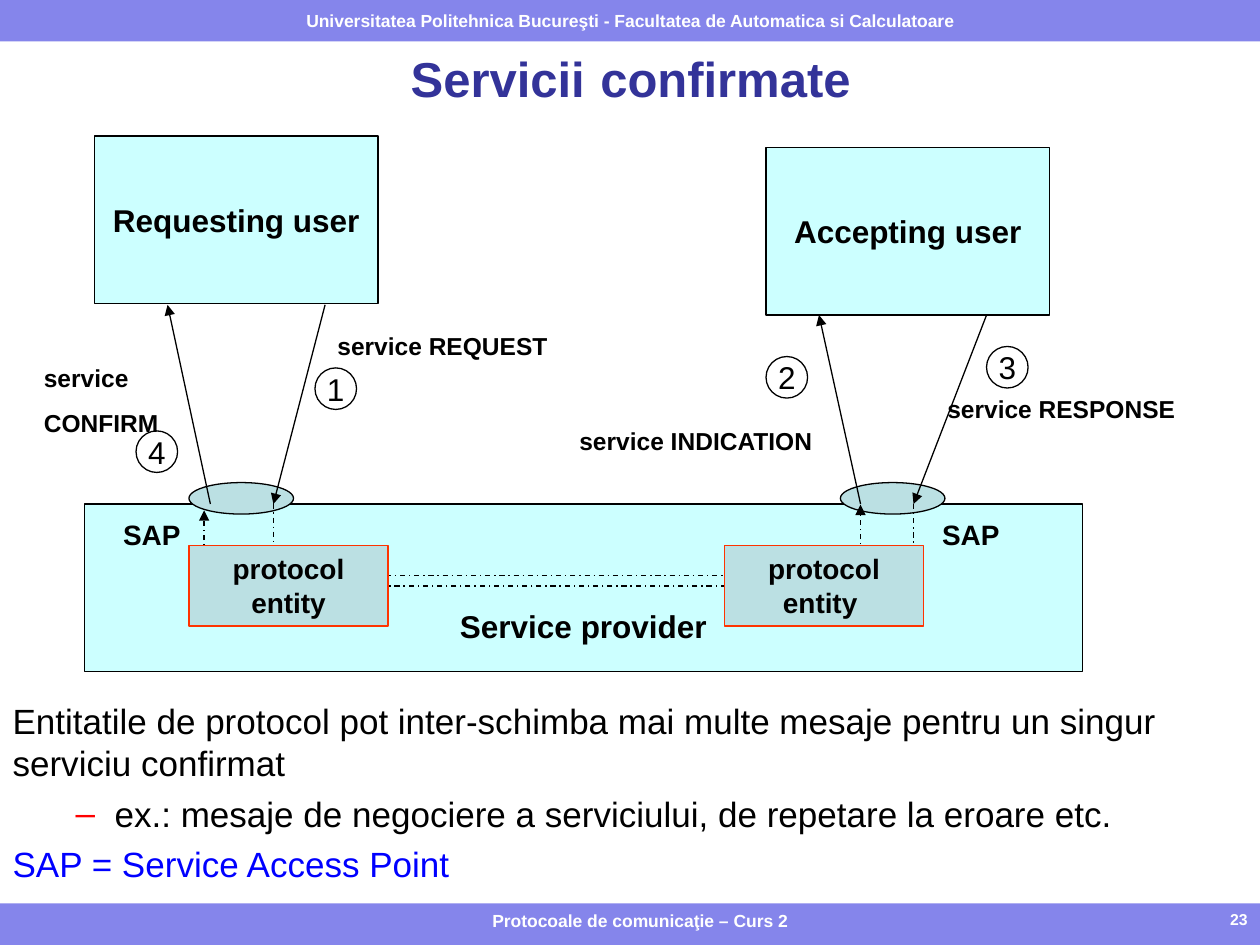
from lxml import etree
from pptx import Presentation
from pptx.dml.color import RGBColor
from pptx.enum.dml import MSO_LINE
from pptx.enum.shapes import MSO_CONNECTOR, MSO_SHAPE
from pptx.enum.text import MSO_ANCHOR, MSO_AUTO_SIZE, PP_ALIGN
from pptx.oxml.ns import qn
from pptx.util import Inches, Pt

RECT, OVAL = MSO_SHAPE.RECTANGLE, MSO_SHAPE.OVAL
STRAIGHT, ELBOW = MSO_CONNECTOR.STRAIGHT, MSO_CONNECTOR.ELBOW
LEFT, CENTER, RIGHT = PP_ALIGN.LEFT, PP_ALIGN.CENTER, PP_ALIGN.RIGHT
TOP, MIDDLE, BOTTOM = MSO_ANCHOR.TOP, MSO_ANCHOR.MIDDLE, MSO_ANCHOR.BOTTOM
DASH_DOT = MSO_LINE.DASH_DOT
NO_AUTOFIT = MSO_AUTO_SIZE.NONE

BAR, CYAN, TEAL = "8585EB", "CCFFFF", "BBE0E3"
BLACK, WHITE, NAVY, ORANGE = "000000", "FFFFFF", "333399", "FF3300"
RED, BLUE = "FF0000", "0000FF"
STROKE = 0.74


def rgb(value):
    """Turn a hex string into a colour."""
    return RGBColor.from_string(value)


def style(run, size, color=BLACK, bold=False):
    """Format one run."""
    for name, value in {"name": "Arial", "size": Pt(size), "bold": bold}.items():
        setattr(run.font, name, value)
    run.font.color.rgb = rgb(color)


def write(shape, text, size, color=BLACK, bold=True, align=CENTER,
          anchor=MIDDLE, wrap=False, before=0):
    """Fill a shape with text, one paragraph for each line."""
    frame = shape.text_frame
    frame.text = text
    frame.word_wrap = wrap
    frame.vertical_anchor = anchor
    for paragraph in frame.paragraphs:
        paragraph.alignment = align
        paragraph.space_before = Pt(before)
        style(paragraph.runs[0], size, color, bold)


def add_form(slide, kind, box, fill=None, line=BLACK):
    """Add a preset shape without shadow."""
    form = slide.shapes.add_shape(kind, *map(Inches, box))
    form.shadow.inherit = False
    if fill:
        form.fill.solid()
        form.fill.fore_color.rgb = rgb(fill)
    else:
        form.fill.background()
    if line:
        form.line.color.rgb = rgb(line)
        form.line.width = Pt(STROKE)
    else:
        form.line.fill.background()
    return form


def add_label(slide, box, text, size, **options):
    """Add a wrapped text box."""
    label = slide.shapes.add_textbox(*map(Inches, box))
    write(label, text, size, anchor=TOP, wrap=True, **options)


def add_arrow(slide, start, end, kind=STRAIGHT):
    """Add a thin black connector with a triangle at its end."""
    arrow = slide.shapes.add_connector(kind, *map(Inches, (*start, *end)))
    arrow.line.color.rgb = rgb(BLACK)
    arrow.line.width = Pt(STROKE)
    etree.SubElement(arrow.line._get_or_add_ln(), qn("a:tailEnd"), type="triangle")
    etree.SubElement(arrow._element.spPr, qn("a:effectLst"))
    return arrow


def add_exchange(slide, start, end, depth):
    """Add a dashed arrow that dips by depth between two access points."""
    (x1, y1), (x2, y2) = start, end
    span, rise = abs(x2 - x1), max(abs(y2 - y1), 0.01)
    left, top = (x1 + x2 - rise) / 2, (y1 + y2 - span) / 2
    arrow = add_arrow(slide, (left, top), (left + rise, top + span), ELBOW)
    arrow.line.dash_style = DASH_DOT
    properties = arrow._element.spPr
    xfrm = properties.find(qn("a:xfrm"))
    if x2 > x1:
        xfrm.set("rot", str(270 * 60000))
        xfrm.set("flipH", "1")
    else:
        xfrm.set("rot", str(90 * 60000))
    guides = properties.find(qn("a:prstGeom")).get_or_add_avLst()
    etree.SubElement(guides, qn("a:gd"), name="adj1",
                     fmla=f"val {round(depth / rise * 100000)}")


def add_bars(slide, width, height, bar=0.33):
    """Draw the header and footer bars with their texts."""
    foot = height - bar
    add_form(slide, RECT, (0, foot, width, bar), BAR, None)
    header = add_form(slide, RECT, (0, 0, width, bar), BAR, None)
    write(header, "Universitatea Politehnica Bucureşti - Facultatea de "
          "Automatica si Calculatoare", 10, WHITE)
    add_label(slide, (2.58, foot, 5, bar), "Protocoale de comunicaţie – Curs 2",
              10, color=WHITE)
    add_label(slide, (width - 2.33, foot, 2.33, bar), "23", 9, color=WHITE, align=RIGHT)


def place(holder, box, anchor):
    """Move a placeholder and fix its text frame."""
    for name, value in zip(("left", "top", "width", "height"), box):
        setattr(holder, name, Inches(value))
    frame = holder.text_frame
    frame.auto_size, frame.vertical_anchor, frame.word_wrap = NO_AUTOFIT, anchor, True
    return frame


def fill_title(slide, box):
    """Write the title."""
    paragraph = place(slide.shapes.title, box, MIDDLE).paragraphs[0]
    paragraph.alignment = CENTER
    for text, size in (("Servicii", 28), (" ", 32), ("confirmate", 28)):
        run = paragraph.add_run()
        run.text = text
        style(run, size, NAVY, True)


def fill_body(slide, box):
    """Write the remarks below the diagram."""
    frame = place(slide.placeholders[1], box, TOP)
    remarks = (
        ("Entitatile de protocol pot inter-schimba mai multe mesaje pentru un "
         "singur serviciu confirmat", 0, BLACK),
        ("ex.: mesaje de negociere a serviciului, de repetare la eroare etc.", 1, BLACK),
        ("SAP = Service Access Point", 0, BLUE))
    frame.text = "\n".join(text for text, _, _ in remarks)
    for paragraph, (_, level, color) in zip(frame.paragraphs, remarks):
        paragraph.level = level
        paragraph.alignment = LEFT
        paragraph.space_before = Pt(5)
        style(paragraph.runs[0], 20, color)
        layout = paragraph._p.get_or_add_pPr()
        layout.set("marL", str(Inches(0.81 * level)))
        layout.set("indent", str(Inches(-0.31 * level)))
        if level:
            tint = etree.SubElement(layout, qn("a:buClr"))
            etree.SubElement(tint, qn("a:srgbClr"), val=RED)
            etree.SubElement(layout, qn("a:buChar"), char="–")
        else:
            etree.SubElement(layout, qn("a:buNone"))


def add_user(slide, box, text):
    """Draw one service user."""
    write(add_form(slide, RECT, box, CYAN), text, 18)


def add_provider(slide, box):
    """Draw the provider with its access points and protocol entities."""
    left, top, width, height = box
    provider = add_form(slide, RECT, box, CYAN)
    write(provider, "Service provider", 18, anchor=BOTTOM)
    provider.text_frame.margin_bottom = Inches(0.21)
    for x in (0.83, 6):
        add_form(slide, OVAL, (left + x, top - 0.17, 0.83, 0.25), TEAL)
    add_exchange(slide, (left + 1.5, top), (left + 6.16, top), 0.58)
    add_exchange(slide, (left + 6.58, top), (left + 0.95, top + 0.05), 0.65)
    for x in (0.16, 6.66):
        sap = add_form(slide, OVAL, (left + x, top + 0.08, 0.75, 0.33), line=None)
        write(sap, "SAP", 16)
    for x, text in ((0.83, "protocol entity"), (5.08, "protocol entity ")):
        entity = add_form(slide, RECT, (left + x, top + 0.33, 1.58, 0.64), TEAL, ORANGE)
        write(entity, text, 16, anchor=TOP, wrap=True)


def add_primitive(slide, number, start, end, circle, label, text):
    """Draw one numbered service primitive: arrow, circle and label."""
    add_arrow(slide, start, end)
    write(add_form(slide, OVAL, (*circle, 0.33, 0.33)), str(number), 18, bold=False)
    add_label(slide, label, text, 14, align=LEFT, before=8.8)


def main():
    """Build the slide."""
    deck = Presentation()
    deck.slide_width, deck.slide_height = Inches(10), Inches(7.5)
    slide = deck.slides.add_slide(deck.slide_layouts[1])
    add_bars(slide, 10, 7.5)
    fill_title(slide, (0.42, 0.33, 9.17, 0.53))
    fill_body(slide, (0, 5.5, 10, 1.58))
    add_user(slide, (0.75, 1.08, 2.25, 1.33), "Requesting user")
    add_user(slide, (6.08, 1.17, 2.25, 1.33), "Accepting user")
    add_provider(slide, (0.67, 4, 7.92, 1.33))
    primitives = (
        ((2.58, 2.42), (2.17, 4), (2.5, 2.92), (2.58, 2.58, 2, 0.34), "service REQUEST"),
        ((6.83, 4), (6.5, 2.5), (6.08, 2.83), (4.5, 3.33, 2.17, 0.34), "service INDICATION"),
        ((7.83, 2.5), (7.25, 4), (7.83, 2.75), (7.42, 3.08, 2.17, 0.34), "service RESPONSE"),
        ((1.67, 4), (1.33, 2.42), (1.08, 3.42), (0.25, 2.83, 1.17, 0.69), "service\nCONFIRM"))
    for number, primitive in enumerate(primitives, 1):
        add_primitive(slide, number, *primitive)
    deck.save("out.pptx")


main()
